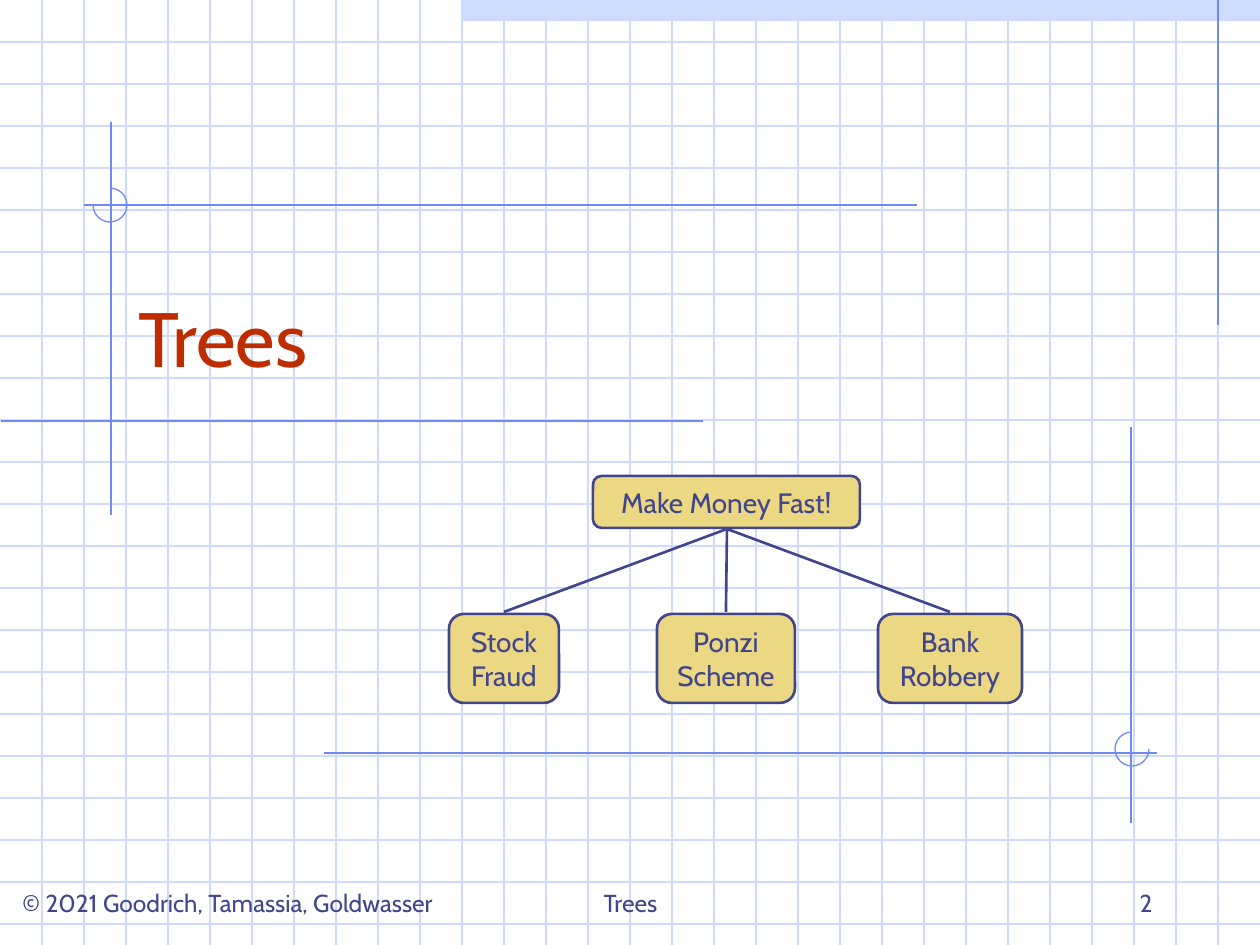
from dataclasses import dataclass

from lxml.etree import SubElement
from pptx import Presentation
from pptx.dml.color import RGBColor
from pptx.enum.shapes import MSO_CONNECTOR as Connector, MSO_SHAPE as Preset
from pptx.enum.text import MSO_ANCHOR as Anchor, MSO_AUTO_SIZE as AutoSize, PP_ALIGN as Align
from pptx.oxml.ns import qn
from pptx.util import Emu, Pt

PIXEL = 914400 // 126
WIDTH, HEIGHT = 1260, 945


@dataclass(frozen=True)
class Theme:
    font: str = "Cabin"
    ink: str = "40458C"
    heading: str = "BE2D00"
    grid: str = "CFDBFD"
    accent: str = "6F89F7"
    node: str = "ECD882"
    title_size: int = 44
    node_size: int = 16
    footer_size: int = 14
    thin: float = 0.74
    thick: float = 1.5


def px(*lengths):
    return [Emu(length * PIXEL) for length in lengths]


def rgb(value):
    return RGBColor.from_string(value)


def write_text(shape, text, *, font, size, color, align=Align.LEFT,
               anchor=Anchor.BOTTOM, wrap=True):
    frame = shape.text_frame
    frame.word_wrap = wrap
    frame.auto_size = AutoSize.NONE
    frame.vertical_anchor = anchor
    paragraph = frame.paragraphs[0]
    paragraph.text = text
    paragraph.alignment = align
    for run in paragraph.runs:
        run.font.name = font
        run.font.size = Pt(size)
        run.font.color.rgb = rgb(color)


class SlideBuilder:
    def __init__(self, slide, theme):
        self.slide = slide
        self.theme = theme

    def title(self, text, box):
        shape = self.slide.shapes.title
        shape.left, shape.top, shape.width, shape.height = px(*box)
        shape.element.getparent().append(shape.element)
        write_text(shape, text, font=self.theme.font, size=self.theme.title_size,
                   color=self.theme.heading)

    def footer(self, text, box, align):
        shape = self.slide.shapes.add_textbox(*px(*box))
        write_text(shape, text, font=self.theme.font, size=self.theme.footer_size,
                   color=self.theme.ink, align=align)

    def line(self, start, end, color, weight):
        connector = self.slide.shapes.add_connector(Connector.STRAIGHT, *px(*start, *end))
        connector.line.color.rgb = rgb(color)
        connector.line.width = Pt(weight)
        SubElement(connector.element.spPr, qn("a:effectLst"))

    def shape(self, preset, box, fill=None, line=None, weight=None):
        shape = self.slide.shapes.add_shape(preset, *px(*box))
        shape.shadow.inherit = False
        if fill:
            shape.fill.solid()
            shape.fill.fore_color.rgb = rgb(fill)
        else:
            shape.fill.background()
        if line:
            shape.line.color.rgb = rgb(line)
            shape.line.width = Pt(weight)
        else:
            shape.line.fill.background()
        return shape

    def arc(self, box, start_degrees, end_degrees):
        shape = self.shape(Preset.ARC, box, line=self.theme.accent, weight=self.theme.thin)
        for index, degrees in enumerate((start_degrees, end_degrees)):
            shape.adjustments[index] = degrees * 0.6

    def node(self, text, box):
        shape = self.shape(Preset.ROUNDED_RECTANGLE, box, self.theme.node,
                           self.theme.ink, self.theme.thick)
        write_text(shape, text, font=self.theme.font, size=self.theme.node_size,
                   color=self.theme.ink, align=Align.CENTER, anchor=Anchor.MIDDLE, wrap=False)

    def grid(self, step):
        for y in range(step, HEIGHT, step):
            self.line((0, y), (WIDTH, y), self.theme.grid, self.theme.thin)
        for x in range(step, WIDTH, step):
            self.line((x, 0), (x, HEIGHT), self.theme.grid, self.theme.thin)


presentation = Presentation()
presentation.slide_width, presentation.slide_height = px(WIDTH, HEIGHT)
theme = Theme()
builder = SlideBuilder(presentation.slides.add_slide(presentation.slide_layouts[5]), theme)

builder.shape(Preset.RECTANGLE, (462, 0, 798, 21), fill=theme.grid)
builder.grid(42)

accent_lines = [
    ((1218, 0), (1218, 325)),
    ((111, 122), (111, 515)),
    ((1, 421), (703, 421)),
    ((84, 205), (917, 205)),
    ((324, 753), (1157, 753)),
    ((1131, 427), (1131, 823)),
]
for start, end in accent_lines:
    builder.line(start, end, theme.accent, theme.thin)
builder.arc((93, 188, 34, 34), 270, 180)
builder.arc((1115, 732, 34, 34), 0, 270)

builder.title("Trees", (126, 231, 1071, 158))

root = (727, 529)
builder.node("Make Money Fast!", (593, 476, 267, 52))
children = [
    ("Stock\nFraud", 449, 110, 504),
    ("Ponzi\nScheme", 657, 138, 726),
    ("Bank\nRobbery", 878, 144, 950),
]
for text, left, width, joint in children:
    builder.node(text, (left, 614, width, 89))
    builder.line(root, (joint, 612), theme.ink, theme.thick)

footers = [
    ("© 2021 Goodrich, Tamassia, Goldwasser", 10, 494, Align.LEFT),
    ("Trees", 431, 399, Align.CENTER),
    ("2", 903, 262, Align.RIGHT),
]
for text, left, width, align in footers:
    builder.footer(text, (left, 861, width, 63), align)

presentation.save("out.pptx")
